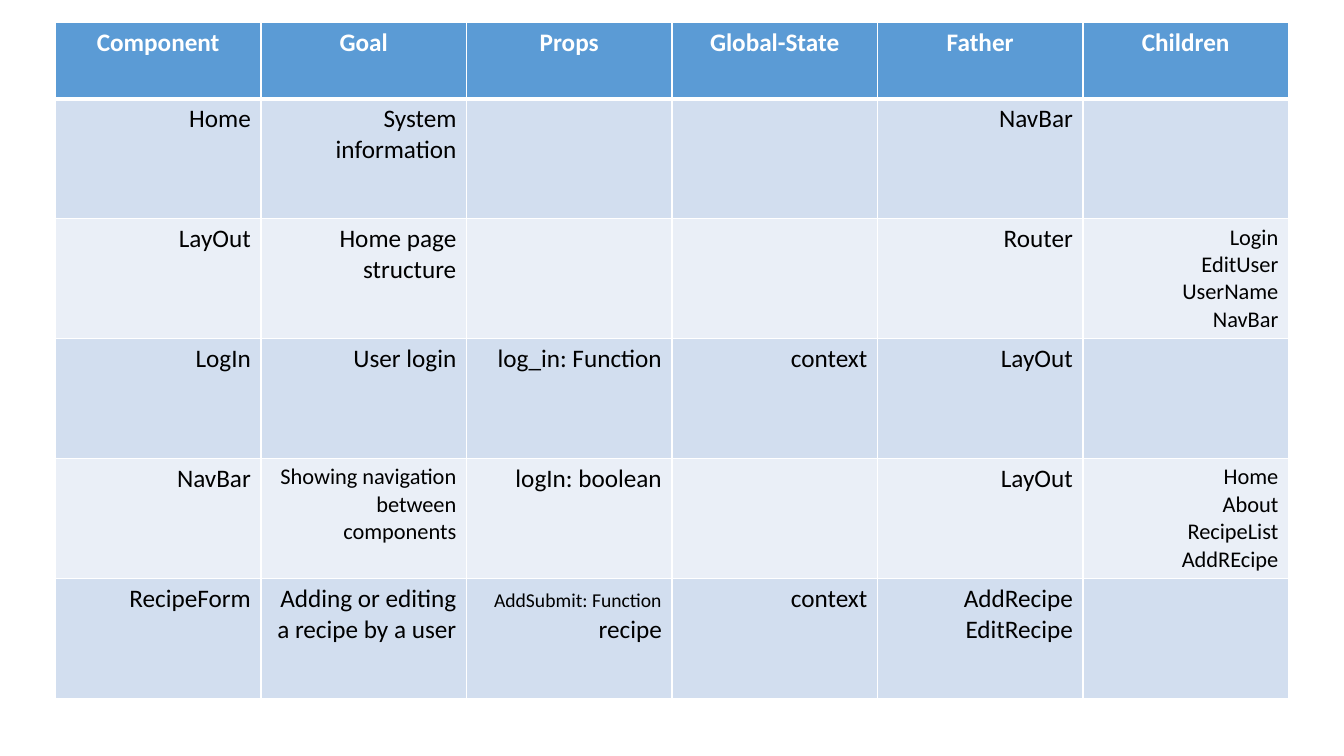
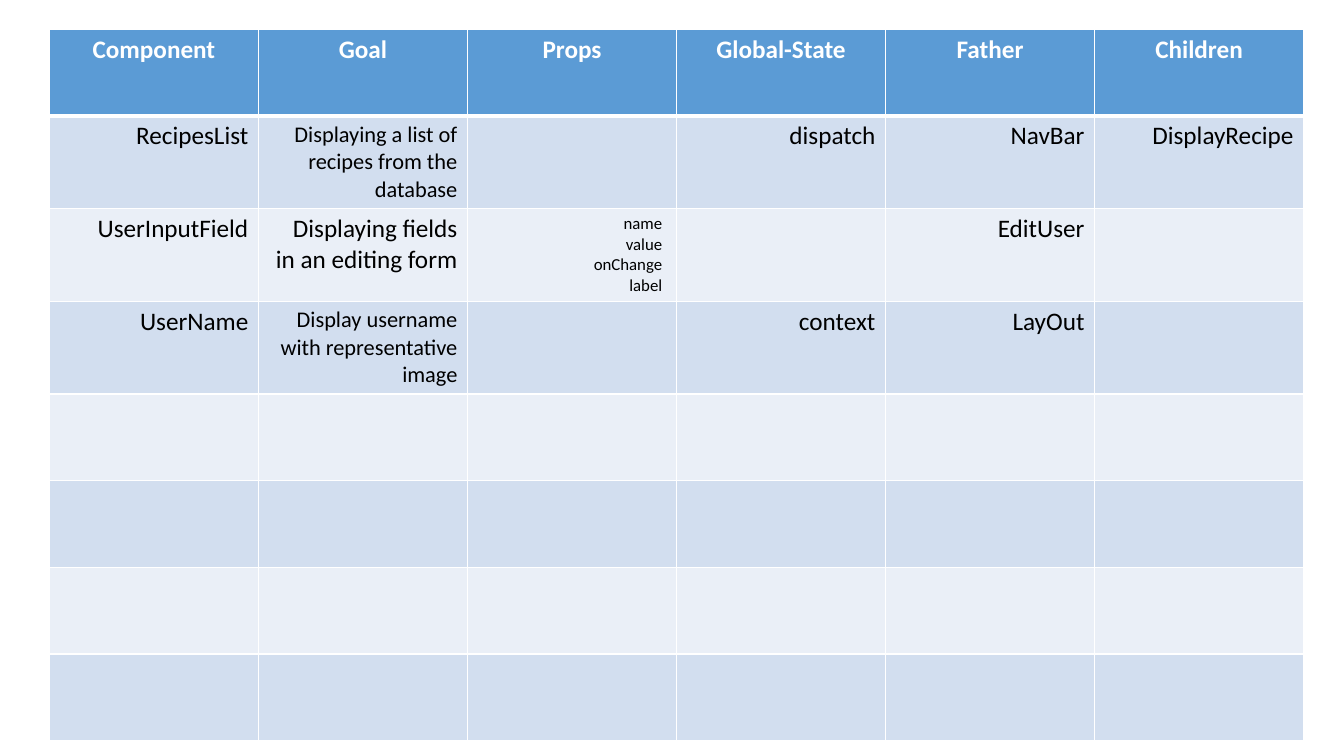
from lxml import etree
from pptx import Presentation
from pptx.dml.color import RGBColor
from pptx.enum.text import PP_ALIGN
from pptx.oxml.ns import qn
from pptx.util import Inches, Pt

CENTER, RIGHT = PP_ALIGN.CENTER, PP_ALIGN.RIGHT
FONT = "Calibri"
SIZE = 18
WHITE, BLACK, BLUE = "FFFFFF", "000000", "5B9BD5"
BANDS = ("D2DEEF", "EAEFF7")
HEADS = ("Component", "Goal", "Props", "Global-State", "Father", "Children")


def small(text, size=16):
    """Cell content in one size: a list of (text, size) runs."""
    return [(text, size)]


PAGES = [
    {
        "box": (0.55, 0.22, 12.23),
        "heights": [0.76] + [1.19] * 5,
        "rows": [
            ("Home", "System information", "", "", "NavBar", ""),
            ("LayOut", "Home page structure", "", "", "Router",
             small("Login\nEditUser\nUserName\nNavBar")),
            ("LogIn", "User login", "log_in: Function", "context", "LayOut", ""),
            ("NavBar", small("Showing navigation between components"),
             "logIn: boolean", "", "LayOut",
             small("Home\nAbout\nRecipeList\nAddREcipe")),
            ("RecipeForm", "Adding or editing a recipe by a user",
             [("AddSubmit: Function", 14), (" recipe", SIZE)], "context",
             "AddRecipe\nEditRecipe", ""),
        ],
    },
    {
        "box": (0.49, 0.29, 12.44),
        "heights": [0.86] + [0.92] * 3 + [0.86] * 4,
        "rows": [
            ("RecipesList",
             small("Displaying a list of recipes from the database"),
             "", "dispatch", "NavBar", "DisplayRecipe"),
            ("UserInputField", "Displaying fields in an editing form",
             small(" name\n value\n onChange\n label", 12), "", "EditUser", ""),
            ("UserName", small("Display username with representative image"),
             "", "context", "LayOut", ""),
        ] + [("",) * len(HEADS)] * 4,
    },
]


def rgb(code):
    return RGBColor.from_string(code)


def border(cell, top, bottom):
    """White cell edges; they must stand before the fill."""
    props = cell._tc.get_or_add_tcPr()
    for spot, (side, width) in enumerate(
            (("L", 1), ("R", 1), ("T", top), ("B", bottom))):
        line = etree.Element(qn(f"a:ln{side}"), w=str(Pt(width)))
        fill = etree.SubElement(line, qn("a:solidFill"))
        etree.SubElement(fill, qn("a:srgbClr"), val=WHITE)
        props.insert(spot, line)


def start(para, align):
    para.alignment = align
    para._p.get_or_add_pPr().set("rtl", "1")
    return para


def write(cell, runs, align, color, bold):
    """Fill a cell run by run; a line end in a run starts a paragraph."""
    frame = cell.text_frame
    para = start(frame.paragraphs[0], align)
    for text, size in runs:
        for turn, part in enumerate(text.split("\n")):
            if turn:
                para = start(frame.add_paragraph(), align)
            run = para.add_run()
            run.text = part
            font = run.font
            font.name, font.size, font.bold = FONT, Pt(size), bold
            font.color.rgb = rgb(color)


def grid(slide, box, heights, rows):
    left, top, width = box
    table = slide.shapes.add_table(
        len(heights), len(HEADS), Inches(left), Inches(top),
        Inches(width), Inches(sum(heights))).table
    for col in table.columns:
        col.width = Inches(width / len(HEADS))
    for row, height in zip(table.rows, heights):
        row.height = Inches(height)
    for r, items in enumerate([HEADS] + rows):
        head = r == 0
        for c, item in enumerate(items):
            cell = table.cell(r, c)
            cell.fill.solid()
            cell.fill.fore_color.rgb = rgb(BLUE if head else BANDS[(r - 1) % 2])
            border(cell, 3 if r == 1 else 1, 3 if head else 1)
            if item:
                runs = small(item, SIZE) if isinstance(item, str) else item
                write(cell, runs, CENTER if head else RIGHT,
                      WHITE if head else BLACK, head)


def main():
    deck = Presentation()
    deck.slide_width, deck.slide_height = Inches(13.33), Inches(7.5)
    for page in PAGES:
        grid(deck.slides.add_slide(deck.slide_layouts[6]), **page)
    deck.save("out.pptx")


if __name__ == "__main__":
    main()
